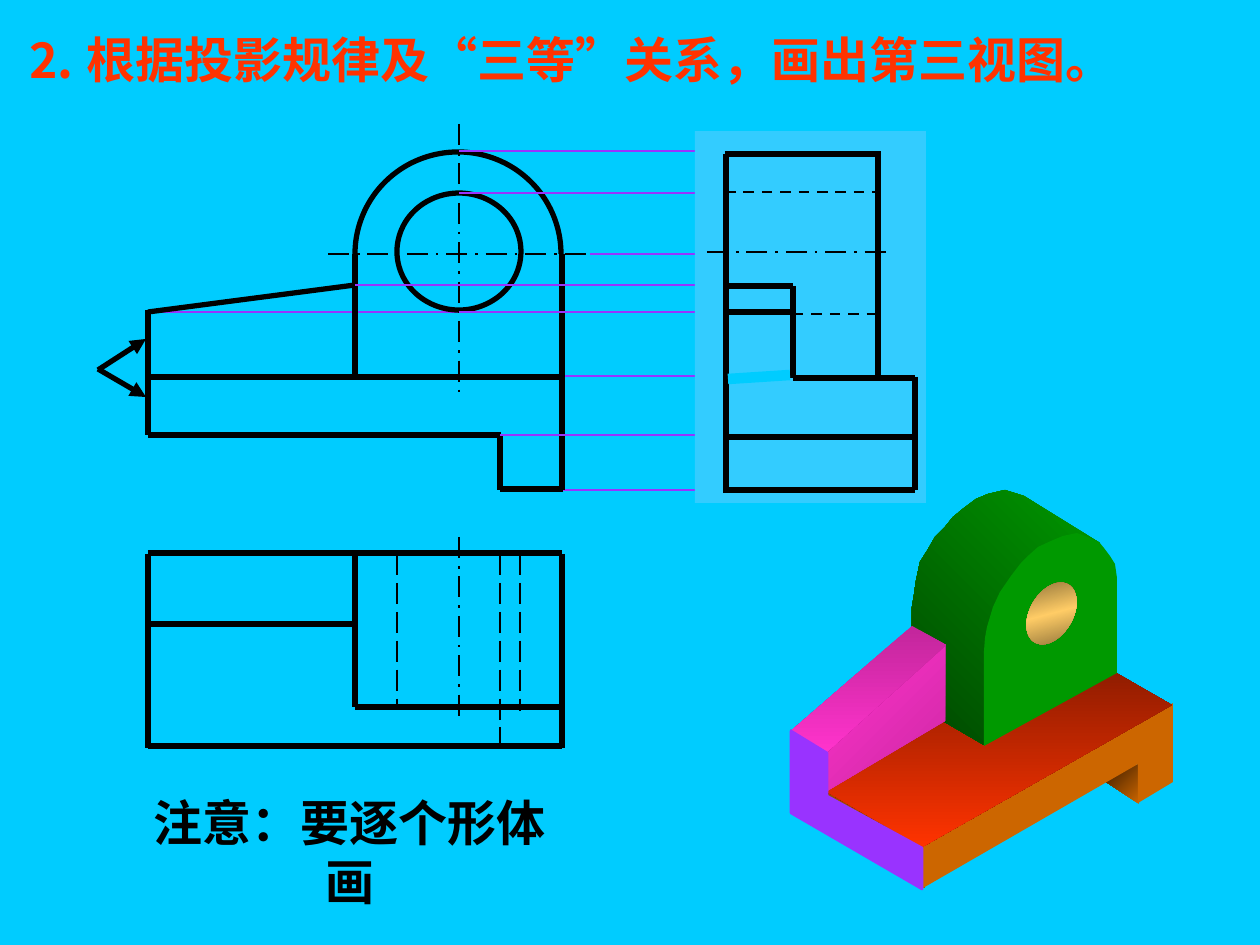
from copy import deepcopy
from lxml import etree
from pptx import Presentation
from pptx import util as u
from pptx.dml.color import RGBColor
from pptx.enum import dml, shapes, text
from pptx.oxml.ns import qn

SCALE = 914400 / 126
THEME = {
    "font": "Noto Sans CJK SC", "size": 28,
    "background": "00CCFF", "panel": "33CCFF", "title": "FF3300",
    "ink": "000000", "projection": "9933FF",
    "thick": 3, "thin": 1.5, "eraser": 6,
}
OUTLINE = ("ink", "thick", None)
PROJECTION = ("projection", "thin", None)
CENTRE = ("ink", "thin", dml.MSO_LINE.LONG_DASH_DOT)
HIDDEN = ("ink", "thin", dml.MSO_LINE.LONG_DASH)
SHORT_HIDDEN = ("ink", "thin", dml.MSO_LINE.DASH)
ERASER = ("background", "eraser", None)


def draw_line(ends, style):
    color, width, dash = style
    line = slide.shapes.add_connector(
        shapes.MSO_CONNECTOR.STRAIGHT, *[round(value * SCALE) for value in ends])
    line.line.color.rgb = RGBColor.from_string(THEME[color])
    line.line.width = u.Pt(THEME[width])
    if dash:
        line.line.dash_style = dash
    etree.SubElement(line._element.spPr, qn("a:effectLst"))
    return line


def paint(shape, colors, angle=0):
    shape.shadow.inherit = False
    shape.line.fill.background()
    if len(colors) == 1:
        shape.fill.solid()
        shape.fill.fore_color.rgb = RGBColor.from_string(colors[0])
        return
    shape.fill.gradient()
    shape.fill.gradient_angle = angle
    stop_list = shape._element.spPr.find(qn("a:gradFill")).find(qn("a:gsLst"))
    for extra in range(len(colors) - 2):
        stop_list.append(deepcopy(stop_list[-1]))
    for index, stop in enumerate(shape.fill.gradient_stops):
        stop.position = index / (len(colors) - 1)
        stop.color.rgb = RGBColor.from_string(colors[index])


presentation = Presentation()
presentation.slide_width = round(1260 * SCALE)
presentation.slide_height = round(945 * SCALE)
slide = presentation.slides.add_slide(presentation.slide_layouts[6])
slide.background.fill.solid()
slide.background.fill.fore_color.rgb = RGBColor.from_string(THEME["background"])

for left, right, y in [(561, 912, 376), (561, 912, 490), (148, 725, 312)]:
    draw_line((left, y, right, y), PROJECTION)

front_view = [
    ((459, 124, 459, 397), CENTRE), ((328, 254, 590, 254), CENTRE),
    ((562, 254, 562, 490), OUTLINE), ((355, 254, 355, 379), OUTLINE),
    ((500, 489, 563, 489), OUTLINE), ((148, 435, 501, 435), OUTLINE),
    ((148, 310, 148, 435), OUTLINE), ((500, 435, 500, 490), OUTLINE),
    ((148, 312, 355, 285), OUTLINE), ((148, 377, 562, 377), OUTLINE),
]
top_view = [
    ((459, 537, 459, 721), CENTRE),
    ((148, 553, 562, 553), OUTLINE), ((148, 746, 562, 746), OUTLINE),
    ((148, 554, 148, 748), OUTLINE), ((562, 554, 562, 748), OUTLINE),
    ((148, 624, 355, 624), OUTLINE), ((355, 554, 355, 707), OUTLINE),
    ((355, 707, 562, 707), OUTLINE), ((500, 554, 500, 748), HIDDEN),
    ((397, 554, 397, 707), HIDDEN), ((520, 554, 520, 711), HIDDEN),
]
for ends, style in front_view + top_view:
    draw_line(ends, style)

for kind, box in [(shapes.MSO_SHAPE.OVAL, (397, 193, 124, 117)),
                  (shapes.MSO_SHAPE.ARC, (355, 152, 206, 204))]:
    curve = slide.shapes.add_shape(kind, *[round(value * SCALE) for value in box])
    curve.shadow.inherit = False
    curve.fill.background()
    curve.line.color.rgb = RGBColor.from_string(THEME["ink"])
    curve.line.width = u.Pt(THEME["thick"])
    if kind == shapes.MSO_SHAPE.ARC:
        curve.adjustments[0] = 108
        curve.adjustments[1] = 0

solid_faces = [
    (["CC6600", "3B1D00"], 135, [(1106, 782), (1139, 804), (1139, 764)]),
    (["CC6600", "5E2F00"], 225, [(791, 770), (924, 847), (924, 888), (791, 811)]),
    (["CC6600"], 0, [(923, 846), (923, 888), (1138, 764), (1138, 803),
                     (1173, 782), (1173, 703)]),
    (["751700", "FF3300"], 270, [(791, 771), (1040, 629), (1172, 705), (922, 847)]),
    (["009900", "004600"], 225, [
        (984, 745), (912, 703), (912, 607), (914, 595), (916, 581), (920, 562),
        (927, 551), (935, 537), (945, 527), (953, 517), (964, 508), (976, 499),
        (988, 494), (1005, 490), (1024, 496), (1100, 543), (1090, 538), (1075, 537),
        (1063, 537), (1056, 542), (1045, 547), (1034, 554), (1027, 562), (1018, 571),
        (1009, 580), (1003, 591), (995, 606), (989, 626), (987, 640), (985, 653)]),
    (["009900"], 0, [
        (984, 746), (1117, 673), (1117, 578), (1115, 564), (1110, 556), (1104, 548),
        (1099, 542), (1090, 538), (1077, 533), (1063, 536), (1051, 541), (1038, 547),
        (1028, 556), (1021, 563), (1011, 576), (1000, 592), (993, 607), (987, 627),
        (985, 638), (984, 651)]),
    (["CC28A3", "FF33CC"], 135, [(945, 645), (945, 721), (827, 791), (827, 751)]),
    (["FF33CC", "75175E"], 225, [(791, 730), (827, 752), (827, 793), (791, 771)]),
    (["C2269B", "FF33CC"], 270, [(791, 731), (827, 752), (946, 645), (912, 626)]),
    (["9933FF"], 0, [(791, 731), (791, 813), (922, 889), (922, 848),
                     (827, 796), (827, 753)]),
]
for colors, angle, points in solid_faces:
    builder = slide.shapes.build_freeform(*points[0], scale=SCALE)
    builder.add_line_segments(points[1:], close=True)
    paint(builder.convert_to_shape(), colors, angle)
left_face = slide.shapes[-1]
left_face.line.color.rgb = RGBColor.from_string(THEME["projection"])
left_face.line.width = u.Pt(THEME["thin"])

hole = slide.shapes.add_shape(
    shapes.MSO_SHAPE.OVAL, *[round(value * SCALE) for value in (1018, 592, 67, 43)])
hole.rotation = 300.2
paint(hole, ["755E2F", "FFCC66", "755E2F"], 225)

for left, right, y in [(459, 725, 151), (459, 725, 193), (355, 725, 285),
                       (500, 725, 435), (590, 703, 254), (459, 725, 312)]:
    draw_line((left, y, right, y), PROJECTION)

for ends in [(98, 370, 146, 339), (98, 369, 146, 397)]:
    arrow = draw_line(ends, OUTLINE)
    etree.SubElement(arrow.line._get_or_add_ln(), qn("a:tailEnd"), type="triangle")

panel = slide.shapes.add_shape(
    shapes.MSO_SHAPE.RECTANGLE, *[round(value * SCALE) for value in (695, 131, 231, 372)])
paint(panel, [THEME["panel"]])

side_view = [
    ((726, 154, 726, 493), OUTLINE), ((915, 377, 915, 490), OUTLINE),
    ((726, 490, 915, 490), OUTLINE), ((793, 378, 915, 378), OUTLINE),
    ((725, 154, 881, 154), OUTLINE), ((793, 286, 793, 378), OUTLINE),
    ((727, 286, 793, 286), OUTLINE), ((878, 154, 878, 377), OUTLINE),
    ((726, 437, 915, 437), OUTLINE), ((790, 375, 728, 379), ERASER),
    ((726, 312, 793, 312), OUTLINE), ((707, 252, 892, 252), CENTRE),
    ((725, 192, 878, 192), SHORT_HIDDEN), ((793, 314, 876, 314), SHORT_HIDDEN),
]
for ends, style in side_view:
    draw_line(ends, style)

captions = [
    ("⒉ 根据投影规律及“三等”关系，画出第三视图。", (14, 23, 1113, 72),
     "title", text.PP_ALIGN.LEFT),
    ("注意：要逐个形体画", (117, 815, 465, 72), "ink", text.PP_ALIGN.CENTER),
]
for wording, box, color, alignment in captions:
    caption = slide.shapes.add_textbox(*[round(value * SCALE) for value in box])
    frame = caption.text_frame
    frame.text = wording
    frame.word_wrap = False
    frame.auto_size = text.MSO_AUTO_SIZE.SHAPE_TO_FIT_TEXT
    frame.vertical_anchor = text.MSO_ANCHOR.MIDDLE
    paragraph = frame.paragraphs[0]
    paragraph.alignment = alignment
    font = paragraph.runs[0].font
    font.name = THEME["font"]
    font.size = u.Pt(THEME["size"])
    font.bold = True
    font.color.rgb = RGBColor.from_string(THEME[color])
    etree.SubElement(font._element, qn("a:ea"), typeface=THEME["font"])

presentation.save("out.pptx")
